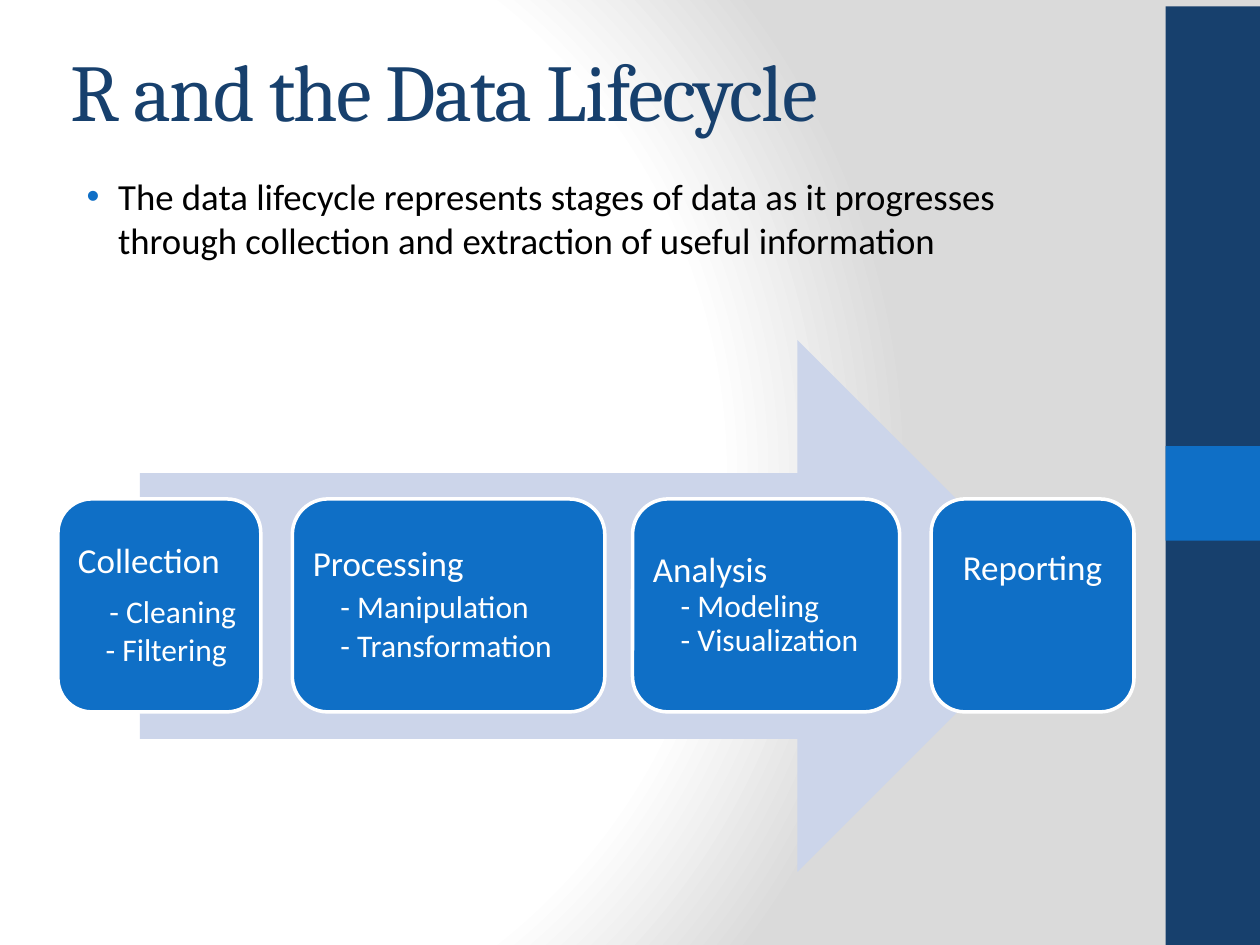
from dataclasses import dataclass
from typing import NamedTuple

from lxml.etree import SubElement
from pptx import Presentation
from pptx.dml.color import RGBColor
from pptx.enum.shapes import MSO_SHAPE
from pptx.enum.text import MSO_ANCHOR, PP_ALIGN
from pptx.oxml import parse_xml
from pptx.oxml.ns import nsdecls, qn
from pptx.util import Inches, Pt


@dataclass(frozen=True)
class Theme:
    navy: str = "17406D"
    blue: str = "0F6FC6"
    pale: str = "CCD5EA"
    white: str = "FFFFFF"
    black: str = "000000"
    gray: str = "DADADA"
    heading_font: str = "Cambria"
    body_font: str = "Calibri"
    title_size: float = 46
    body_size: float = 21
    stage_size: float = 20
    step_size: float = 18


class Box(NamedTuple):
    left: float
    top: float
    width: float
    height: float


class Step(NamedTuple):
    text: str
    indent: float = 0.22
    gap: float = 0


@dataclass(frozen=True)
class Stage:
    name: str
    left: float
    width: float
    steps: tuple[Step, ...] = ()


THEME = Theme()
STAGE_TOP, STAGE_HEIGHT, STAGE_INSET = 3.96, 1.69, 0.08
STAGES = (
    Stage("Collection", 0.46, 1.61, (Step("- Cleaning", 0.25, 9), Step("- Filtering", gap=2))),
    Stage("Processing", 2.32, 2.48, (Step("- Manipulation", gap=4), Step("- Transformation", gap=3))),
    Stage("Analysis", 5.02, 2.12, (Step("- Modeling"), Step("- Visualization"))),
    Stage("Reporting", 7.39, 1.61),
)


def emu(box: Box) -> list:
    """Convert a box in inches to lengths."""
    return [Inches(value) for value in box]


def paint_background(slide) -> None:
    """Give the slide a circular gradient from white to gray."""
    slide.background.fill.gradient()
    gradient = slide.element.find(".//" + qn("a:gradFill"))
    stops = "".join(
        f'<a:gs pos="{position * 1000}"><a:srgbClr val="{color}"/></a:gs>'
        for position, color in ((0, THEME.white), (75, THEME.white), (100, THEME.gray))
    )
    gradient.getparent().replace(gradient, parse_xml(
        f'<a:gradFill {nsdecls("a")} rotWithShape="1"><a:gsLst>{stops}</a:gsLst>'
        '<a:path path="circle"><a:fillToRect l="20000" t="50000" r="100000" b="50000"/></a:path>'
        "</a:gradFill>"
    ))


def add_block(slide, kind: MSO_SHAPE, box: Box, fill: str, line: str | None = None):
    """Add a filled preset shape with an optional outline."""
    shape = slide.shapes.add_shape(kind, *emu(box))
    shape.shadow.inherit = False
    shape.fill.solid()
    shape.fill.fore_color.rgb = RGBColor.from_string(fill)
    if line:
        shape.line.color.rgb = RGBColor.from_string(line)
        shape.line.width = Pt(2)
    else:
        shape.line.fill.background()
    return shape


def write(paragraph, text: str, *, size: float, color: str, font: str = THEME.body_font,
          align: PP_ALIGN = PP_ALIGN.LEFT, indent: float = 0, hanging: float = 0,
          before: float = 0, line_spacing: float = 1, tracking: float = 0,
          bullet_color: str | None = None) -> None:
    """Write formatted text into a paragraph."""
    run = paragraph.add_run()
    run.text = text
    run.font.name, run.font.size = font, Pt(size)
    run.font.color.rgb = RGBColor.from_string(color)
    paragraph.alignment = align
    paragraph.space_before = Pt(before)
    paragraph.line_spacing = line_spacing
    if tracking:
        run.font._element.set("spc", str(round(tracking * 100)))
    properties = paragraph._p.get_or_add_pPr()
    properties.set("marL", str(Inches(indent)))
    properties.set("indent", str(-Inches(hanging)))
    if bullet_color:
        SubElement(SubElement(properties, qn("a:buClr")), qn("a:srgbClr")).set("val", bullet_color)
        SubElement(properties, qn("a:buFont")).set("typeface", "Arial")
        SubElement(properties, qn("a:buChar")).set("char", "•")


def add_text(slide, box: Box, text: str, anchor: MSO_ANCHOR, **text_format) -> None:
    """Add a wrapping text box with one paragraph."""
    frame = slide.shapes.add_textbox(*emu(box)).text_frame
    frame.word_wrap = True
    frame.vertical_anchor = anchor
    write(frame.paragraphs[0], text, **text_format)


def add_stage(slide, stage: Stage) -> None:
    """Add a rounded stage box with its name and steps."""
    box = Box(stage.left, STAGE_TOP, stage.width, STAGE_HEIGHT)
    frame = add_block(slide, MSO_SHAPE.ROUNDED_RECTANGLE, box, THEME.blue, THEME.white).text_frame
    frame.word_wrap = True
    frame.vertical_anchor = MSO_ANCHOR.MIDDLE
    frame.margin_left = frame.margin_right = frame.margin_top = Inches(STAGE_INSET)
    frame.margin_bottom = Inches(STAGE_INSET if stage.steps else 0.65)
    write(frame.paragraphs[0], stage.name, size=THEME.stage_size, color=THEME.white,
          align=PP_ALIGN.LEFT if stage.steps else PP_ALIGN.CENTER, line_spacing=0.9)
    for step in stage.steps:
        write(frame.add_paragraph(), step.text, size=THEME.step_size, color=THEME.white,
              indent=step.indent, before=step.gap, line_spacing=0.9)


def main() -> None:
    """Build the data lifecycle slide."""
    presentation = Presentation()
    presentation.slide_width, presentation.slide_height = Inches(10), Inches(7.5)
    slide = presentation.slides.add_slide(presentation.slide_layouts[6])
    paint_background(slide)
    add_block(slide, MSO_SHAPE.RECTANGLE, Box(9.25, 0.05, 0.75, 7.45), THEME.navy)
    add_block(slide, MSO_SHAPE.RECTANGLE, Box(9.25, 3.54, 0.75, 0.75), THEME.blue)
    add_text(slide, Box(0.46, 1.33, 8.44, 5.7),
             "The data lifecycle represents stages of data as it progresses "
             "through collection and extraction of useful information",
             MSO_ANCHOR.TOP, size=THEME.body_size, color=THEME.black, indent=0.38,
             hanging=0.25, before=4, bullet_color=THEME.blue)
    add_text(slide, Box(0.46, 0.38, 8.62, 0.65), "R and the Data Lifecycle", MSO_ANCHOR.MIDDLE,
             size=THEME.title_size, color=THEME.navy, font=THEME.heading_font, tracking=-1)
    add_block(slide, MSO_SHAPE.RIGHT_ARROW, Box(1.11, 2.7, 7.33, 4.22), THEME.pale)
    for stage in STAGES:
        add_stage(slide, stage)
    presentation.save("out.pptx")


if __name__ == "__main__":
    main()
